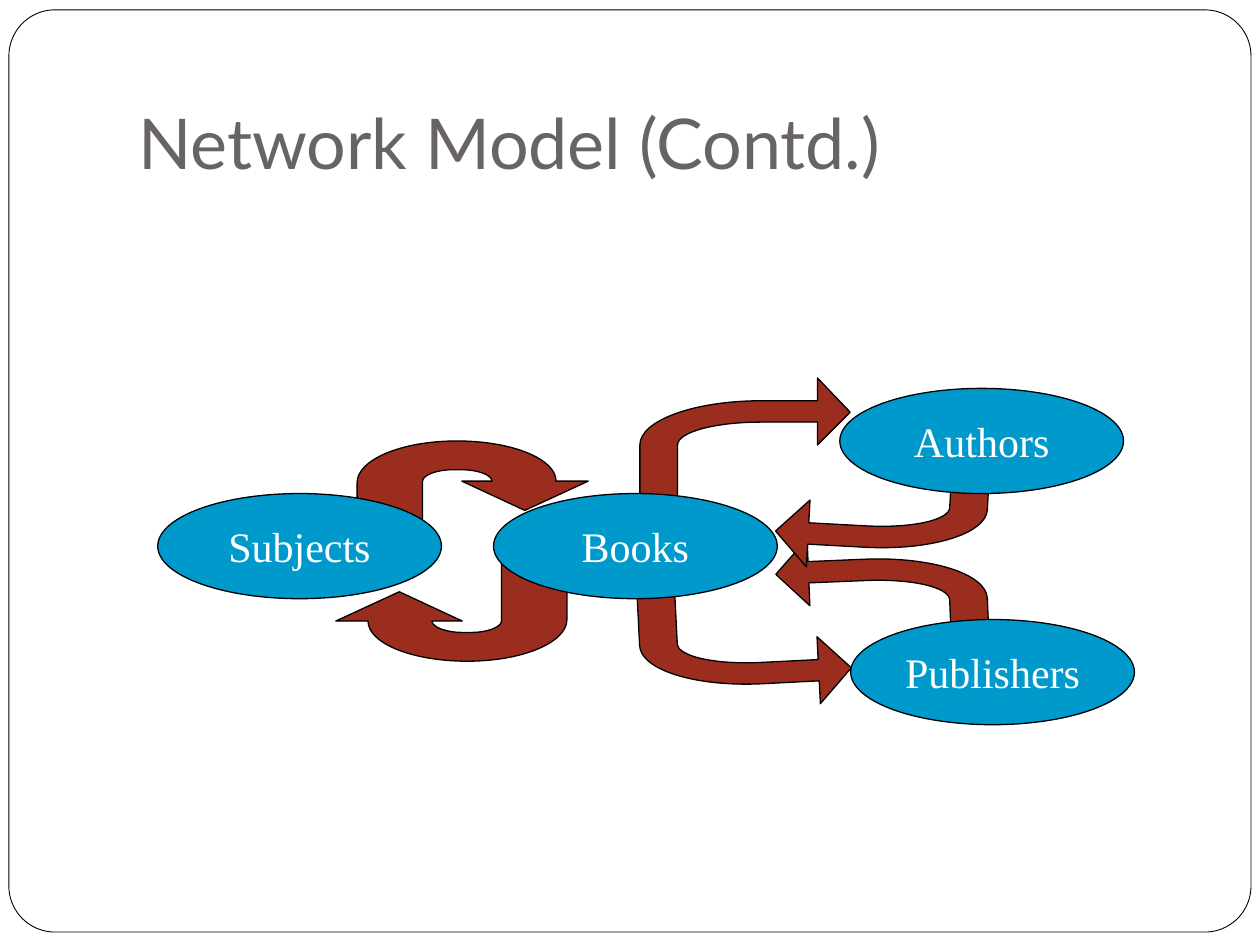
"""Build the Network Model slide: four entities joined by bent and U-turn arrows."""
import lxml.etree
import pptx
import pptx.dml.color
import pptx.enum.shapes
import pptx.enum.text
import pptx.oxml.ns
import pptx.util

Cm, Pt = pptx.util.Cm, pptx.util.Pt
RGBColor = pptx.dml.color.RGBColor
SHAPES = pptx.enum.shapes.MSO_SHAPE
ANCHOR = pptx.enum.text.MSO_ANCHOR
ALIGN = pptx.enum.text.PP_ALIGN
qn = pptx.oxml.ns.qn

WHITE = RGBColor(0xFF, 0xFF, 0xFF)
BLACK = RGBColor(0, 0, 0)
GRAY = RGBColor(0x69, 0x64, 0x64)
BLUE = RGBColor(0x00, 0x99, 0xCC)
RED = RGBColor(0x9B, 0x2D, 0x1F)

TITLE = "Network Model (Contd.)"
ENTITY_SIZE = (5.72, 2.12)
SUBJECTS = ("Subjects", 3.18, 9.95)
RELATED = [
    ("Books", 9.95, 9.95),
    ("Authors", 16.93, 7.83),
    ("Publishers", 17.15, 12.49),
]

U_TURN = [
    [(3.38, 1.4)], [(4.66, 0.81)], [(4.01, 0.81)],
    [(4.01, 0.36), (3.12, 0), (2.01, 0)],
    [(0.89, 0), (0, 0.38), (0, 0.84)],
    [(0, 2.11)], [(1.32, 2.11)], [(1.32, 0.81)],
    [(1.32, 0.69), (1.6, 0.58), (1.93, 0.58)],
    [(2.11, 0.58)],
    [(2.44, 0.58), (2.72, 0.69), (2.72, 0.81)],
    [(2.11, 0.81)],
]
BEND = [
    [(4.24, 0.69)], [(3.58, 0)], [(3.58, 0.46)], [(2.44, 0.46)],
    [(1.09, 0.46), (0, 0.86), (0, 1.35)],
    [(0, 2.41)], [(0.76, 2.41)], [(0.76, 1.35)],
    [(0.76, 1.09), (1.52, 0.89), (2.44, 0.89)],
    [(3.58, 0.89)], [(3.58, 1.35)],
]
U_TURN_ARROWS = [
    (7.2, 8.89, False, False, 0),
    (6.77, 11.22, True, True, 0),
]
BEND_ARROWS = [
    (12.9, 7.62, False, False, 0),
    (15.66, 10.8, True, False, -2.4),
    (12.9, 11.85, False, True, -2.9),
    (15.66, 9.1, True, True, 3.1),
]


def style(shape, fill, width):
    shape.shadow.inherit = False
    shape.fill.solid()
    shape.fill.fore_color.rgb = fill
    shape.line.color.rgb = BLACK
    shape.line.width = Pt(width)


def write(shape, text, font_name, size, color, align, anchor):
    frame = shape.text_frame
    frame.vertical_anchor = anchor
    para = frame.paragraphs[0]
    para.text = text
    para.alignment = align
    para.font.name = font_name
    para.font.size = Pt(size)
    para.font.color.rgb = color
    return frame


def bend_curves(arrow, outline):
    """Join the line segments of each three-point step into one cubic curve."""
    segments = iter(arrow.element.findall(".//" + qn("a:lnTo")))
    for step in outline[1:]:
        parts = [next(segments) for point in step]
        if len(parts) == 3:
            curve = lxml.etree.Element(qn("a:cubicBezTo"))
            parts[0].addprevious(curve)
            for part in parts:
                curve.append(part[0])
                part.getparent().remove(part)


def add_arrow(page, outline, left, top, flip_x, flip_y, angle):
    points = [point for step in outline for point in step]
    width = max(x for x, y in points)
    height = max(y for x, y in points)
    placed = [
        (Cm(left + (width - x if flip_x else x)), Cm(top + (height - y if flip_y else y)))
        for x, y in points
    ]
    builder = page.shapes.build_freeform(*placed[0])
    builder.add_line_segments(placed[1:], close=True)
    arrow = builder.convert_to_shape()
    bend_curves(arrow, outline)
    arrow.rotation = angle
    style(arrow, RED, 0.75)


def add_entity(page, name, left, top):
    entity = page.shapes.add_shape(SHAPES.OVAL, Cm(left), Cm(top), *map(Cm, ENTITY_SIZE))
    style(entity, BLUE, 0.75)
    frame = write(entity, name, "Times New Roman", 24, WHITE, ALIGN.CENTER, ANCHOR.MIDDLE)
    frame.word_wrap = False


def main():
    deck = pptx.Presentation()
    deck.slide_width, deck.slide_height = Cm(25.4), Cm(19.05)
    page = deck.slides.add_slide(deck.slide_layouts[6])

    border = page.shapes.add_shape(
        SHAPES.ROUNDED_RECTANGLE, Cm(0.18), Cm(0.2), Cm(25.04), Cm(18.59))
    border.adjustments[0] = 0.05
    style(border, WHITE, 0.5)

    title = page.shapes.add_textbox(Cm(2.54), Cm(0.76), Cm(21.59), Cm(3.18))
    frame = write(title, TITLE, "Lato", 40, GRAY, ALIGN.LEFT, ANCHOR.BOTTOM)
    frame.word_wrap = True
    frame.margin_bottom = Cm(0.25)

    for placement in U_TURN_ARROWS:
        add_arrow(page, U_TURN, *placement)
    add_entity(page, *SUBJECTS)
    for placement in BEND_ARROWS:
        add_arrow(page, BEND, *placement)
    for entity in RELATED:
        add_entity(page, *entity)

    deck.save("out.pptx")


if __name__ == "__main__":
    main()
